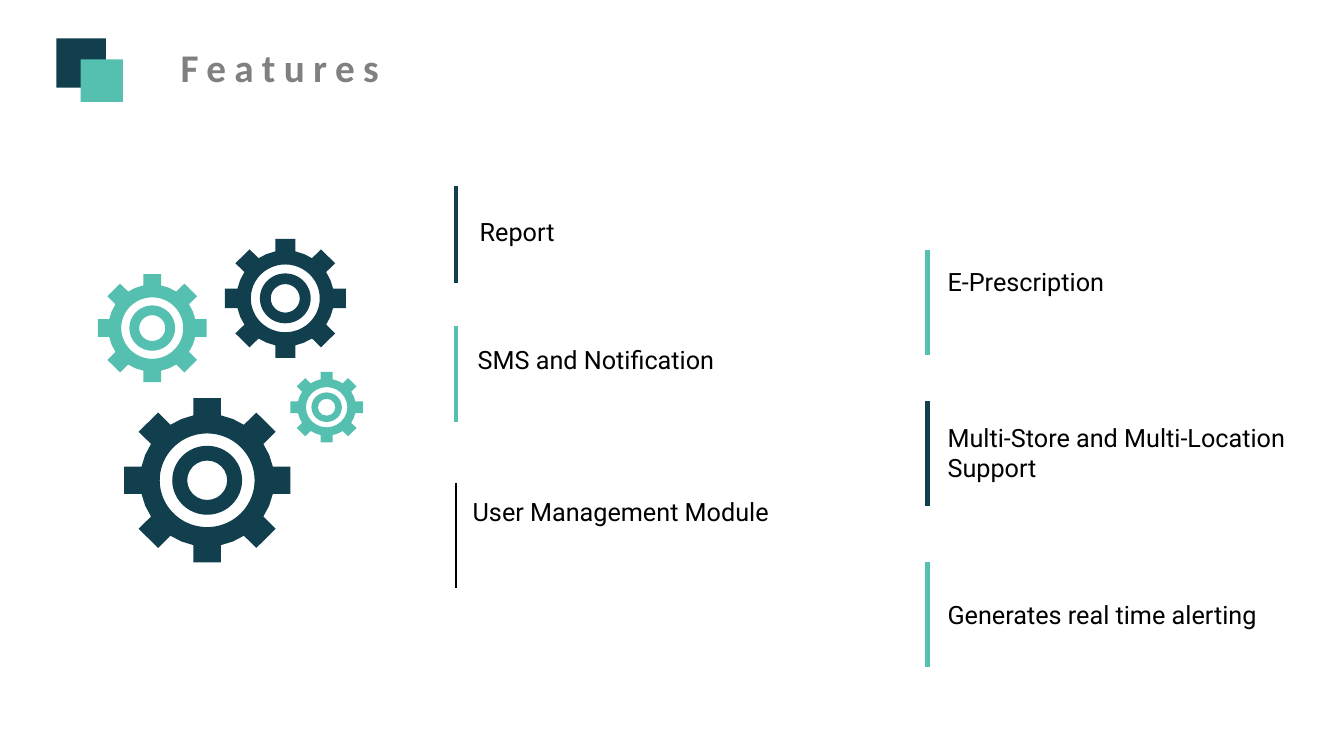
from dataclasses import dataclass
from math import atan2, cos, hypot, pi, sin

from lxml.etree import SubElement
from pptx import Presentation
from pptx.dml.color import RGBColor
from pptx.enum.shapes import MSO_CONNECTOR as Connector, MSO_SHAPE as Shape
from pptx.enum.text import MSO_AUTO_SIZE as AutoSize, PP_ALIGN as Align
from pptx.oxml.ns import qn
from pptx.util import Inches, Pt


@dataclass(frozen=True)
class Theme:
    navy: str = "113F4E"
    teal: str = "55C0AF"
    grey: str = "808080"
    black: str = "000000"
    title_font: str = "Calibri"
    body_font: str = "Roboto"
    title_size: float = 28
    body_size: float = 18
    title_spacing: float = 6
    bar_width: float = 3
    thin_bar_width: float = 1.5


@dataclass(frozen=True)
class Box:
    left: float
    top: float
    width: float
    height: float

    def inside(self, left, top, width, height):
        return Box(self.left + left, self.top + top, width, height)

    def lengths(self):
        return [Inches(n) for n in (self.left, self.top, self.width, self.height)]


@dataclass(frozen=True)
class Feature:
    text: str
    top: float
    height: float
    colour: str
    label_left: float
    label_top: float
    label_height: float = 0.4
    bar_width: float = Theme.bar_width


THEME = Theme()
TOOTH_COUNT = 8
TOOTH_HALF_WIDTH = 0.165
TOOTH_BASE = 0.79
RING_RADII = (0.57, 0.42, 0.24)
FULL_TURN = 360 * 60000

GEARS = [
    (Box(1.26, 0, 1.2, 1.18), THEME.navy),
    (Box(0.26, 1.58, 1.65, 1.63), THEME.navy),
    (Box(0, 0.35, 1.08, 1.07), THEME.teal),
    (Box(1.91, 1.32, 0.72, 0.7), THEME.teal),
]
LEFT_FEATURES = [
    Feature("Report", 0, 0.96, THEME.navy, 0.14, 0.25),
    Feature("SMS and Notification", 1.38, 0.96, THEME.teal, 0.12, 0.14),
    Feature("User Management Module", 2.94, 1.04, THEME.black, 0.07, 0.08,
            bar_width=THEME.thin_bar_width),
]
RIGHT_FEATURES = [
    Feature("E-Prescription", 0, 1.04, THEME.teal, 0.1, 0.11),
    Feature("Multi-Store and Multi-Location Support", 1.5, 1.04, THEME.navy,
            0.1, 0.16, 0.71),
    Feature("Generates real time alerting", 3.1, 1.04, THEME.teal, 0.1, 0.32),
]


def add_text(slide, box, text, font=THEME.body_font, size=THEME.body_size,
             colour=THEME.black, bold=False, align=Align.LEFT, wrap=True, spacing=0):
    frame = slide.shapes.add_textbox(*box.lengths()).text_frame
    frame.word_wrap = wrap
    frame.auto_size = AutoSize.SHAPE_TO_FIT_TEXT
    para = frame.paragraphs[0]
    para.alignment = align
    span = para.add_run()
    span.text = text
    span.font.name = font
    span.font.size = Pt(size)
    span.font.bold = bold
    span.font.color.rgb = RGBColor.from_string(colour)
    if spacing:
        span.font._element.set("spc", str(int(spacing * 100)))


def paint(shape, colour):
    shape.shadow.inherit = False
    shape.fill.solid()
    shape.fill.fore_color.rgb = RGBColor.from_string(colour)
    shape.line.fill.background()


def add_bar(slide, left, top, height, colour, width):
    bar = slide.shapes.add_connector(
        Connector.STRAIGHT, Inches(left), Inches(top), Inches(left), Inches(top + height))
    bar.line.color.rgb = RGBColor.from_string(colour)
    bar.line.width = Pt(width)
    SubElement(bar._element.spPr, qn("a:effectLst"))


def gear_outline():
    pitch = 2 * pi / TOOTH_COUNT
    base_angle = atan2(TOOTH_HALF_WIDTH, TOOTH_BASE)
    base_radius = hypot(TOOTH_HALF_WIDTH, TOOTH_BASE)
    points = []
    for tooth in range(TOOTH_COUNT):
        turn = tooth * pitch
        for side in (-TOOTH_HALF_WIDTH, TOOTH_HALF_WIDTH):
            points.append((cos(turn) - side * sin(turn), sin(turn) + side * cos(turn)))
        for angle in (turn + base_angle, turn + pitch / 2, turn + pitch - base_angle):
            points.append((base_radius * cos(angle), base_radius * sin(angle)))
    return points


def add_ring(outline, width, height, radius):
    across, down = int(width * radius / 2), int(height * radius / 2)
    start = SubElement(outline, qn("a:moveTo"))
    SubElement(start, qn("a:pt"), x=str(width // 2 + across), y=str(height // 2))
    SubElement(outline, qn("a:arcTo"), wR=str(across), hR=str(down),
               stAng="0", swAng=str(FULL_TURN))
    SubElement(outline, qn("a:close"))


def add_gear(slide, box, colour):
    points = [(Inches(box.left + box.width * (1 + x) / 2),
               Inches(box.top + box.height * (1 + y) / 2)) for x, y in gear_outline()]
    builder = slide.shapes.build_freeform(*points[0])
    builder.add_line_segments(points[1:], close=True)
    gear = builder.convert_to_shape()
    outline = next(gear._element.iter(qn("a:path")))
    for radius in RING_RADII:
        add_ring(outline, gear.width, gear.height, radius)
    paint(gear, colour)


def add_header(slide, box):
    add_text(slide, box.inside(1.11, 0, 2.21, 0.57), "Features", font=THEME.title_font,
             size=THEME.title_size, colour=THEME.grey, bold=True, align=Align.CENTER,
             wrap=False, spacing=THEME.title_spacing)
    for offset, top, side, colour in ((0, 0, 0.49, THEME.navy), (0.24, 0.21, 0.42, THEME.teal)):
        square = box.inside(offset, top, side, side)
        paint(slide.shapes.add_shape(Shape.RECTANGLE, *square.lengths()), colour)


def add_gears(slide, box):
    for gear, colour in GEARS:
        add_gear(slide, box.inside(gear.left, gear.top, gear.width, gear.height), colour)


def add_features(slide, box, features):
    for feature in features:
        add_bar(slide, box.left, box.top + feature.top, feature.height,
                feature.colour, feature.bar_width)
        label = box.inside(feature.label_left, feature.top + feature.label_top,
                           box.width - 0.1, feature.label_height)
        add_text(slide, label, feature.text)


def main():
    deck = Presentation()
    deck.slide_width, deck.slide_height = Inches(13.33), Inches(7.5)
    page = deck.slides.add_slide(deck.slide_layouts[6])
    add_features(page, Box(4.52, 1.85, 3.8, 3.98), LEFT_FEATURES)
    add_features(page, Box(9.2, 2.48, 3.82, 4.14), RIGHT_FEATURES)
    add_gears(page, Box(0.97, 2.37, 2.63, 3.21))
    add_header(page, Box(0.56, 0.38, 3.32, 0.63))
    deck.save("out.pptx")


if __name__ == "__main__":
    main()
